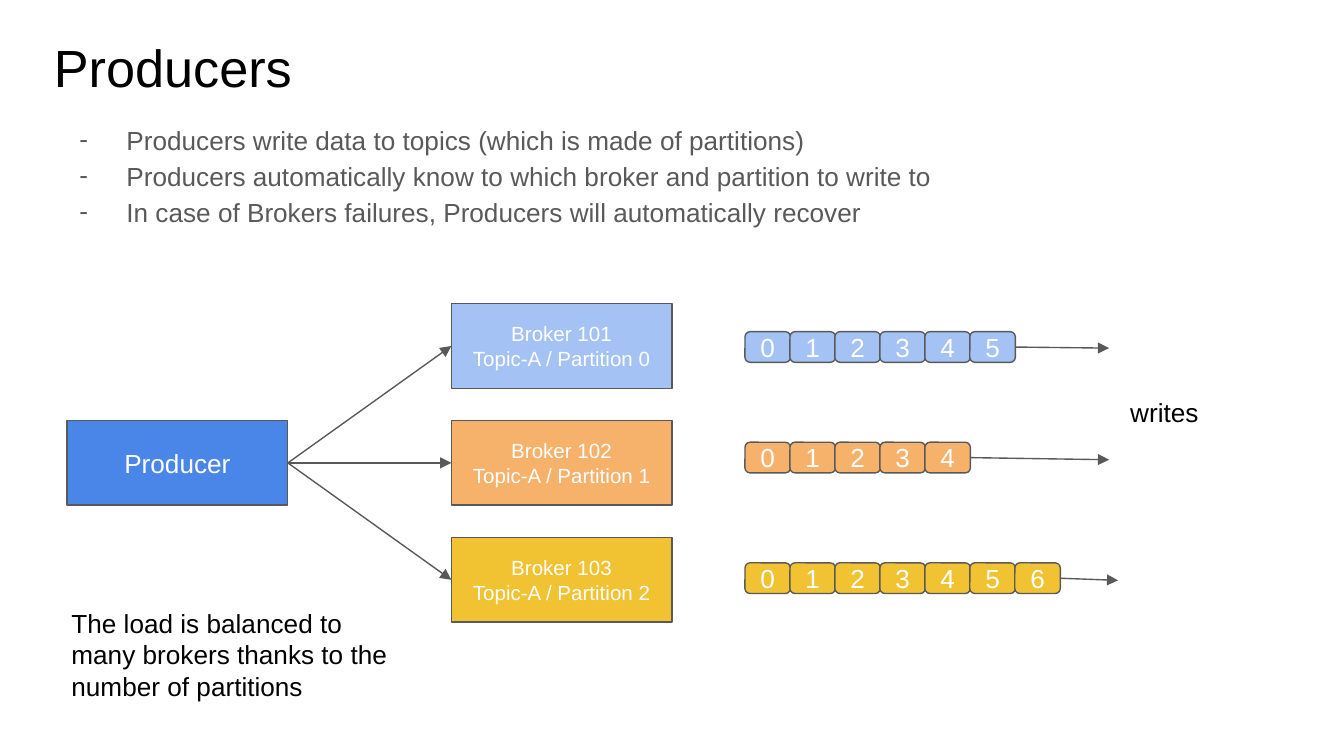
"""Build a slide showing a producer balancing its writes over three brokers."""
from dataclasses import dataclass

from lxml.etree import SubElement
from pptx import Presentation
from pptx.dml.color import RGBColor as Color
from pptx.enum.shapes import MSO_CONNECTOR as Connector, MSO_SHAPE as Shape
from pptx.enum.text import MSO_ANCHOR as Anchor, PP_ALIGN as Align
from pptx.oxml.ns import qn
from pptx.util import Cm, Pt


@dataclass(frozen=True)
class Theme:
    font: str = "Arial"
    black: str = "000000"
    white: str = "FFFFFF"
    gray: str = "595959"
    producer: str = "4A86E8"
    brokers: tuple = ("A4C2F4", "F6B26B", "F1C232")
    title_size: float = 28
    text_size: float = 14
    broker_size: float = 11
    line_width: float = 0.75


THEME = Theme()
TOP, LEFT, RIGHT = 0, 1, 3
BOX_WIDTH, BOX_HEIGHT = 4.17, 1.6
BROKER_LEFT, BROKER_TOP, BROKER_PITCH = 8.53, 5.74, 2.21
CELL_LEFT, CELL_PITCH, CELL_WIDTH, CELL_HEIGHT = 14.08, 0.85, 0.86, 0.58
BULLETS = (
    "Producers write data to topics (which is made of partitions)",
    "Producers automatically know to which broker and partition to write to",
    "In case of Brokers failures, Producers will automatically recover",
)
PARTITIONS = (
    (6, 6.27, (20.96, 6.58)),
    (5, 8.36, (20.96, 8.69)),
    (7, 10.64, (21.13, 10.97)),
)


def set_text(shape, text, size, color, align=Align.LEFT, anchor=Anchor.TOP):
    frame = shape.text_frame
    frame.text = text
    frame.word_wrap = True
    frame.vertical_anchor = anchor
    frame.margin_left = frame.margin_right = Cm(0.25)
    frame.margin_top = frame.margin_bottom = Cm(0.25)
    for paragraph in frame.paragraphs:
        paragraph.alignment = align
        for run in paragraph.runs:
            run.font.name = THEME.font
            run.font.size = Pt(size)
            run.font.color.rgb = Color.from_string(color)


def add_text(slide, left, top, width, height, text, size=THEME.text_size, color=THEME.black):
    shape = slide.shapes.add_textbox(Cm(left), Cm(top), Cm(width), Cm(height))
    set_text(shape, text, size, color)
    return shape


def add_bullets(slide, left, top, width, height, items):
    shape = add_text(slide, left, top, width, height, "\n".join(items), color=THEME.gray)
    for paragraph in shape.text_frame.paragraphs:
        paragraph.line_spacing = 1.15
        properties = paragraph._p.get_or_add_pPr()
        properties.set("marL", str(Cm(1.27)))
        properties.set("indent", str(-Cm(0.89)))
        bullet_color = SubElement(properties, qn("a:buClr"))
        SubElement(bullet_color, qn("a:srgbClr"), val=THEME.gray)
        SubElement(properties, qn("a:buFont"), typeface=THEME.font)
        SubElement(properties, qn("a:buChar"), char="-")


def style_line(line):
    line.color.rgb = Color.from_string(THEME.gray)
    line.width = Pt(THEME.line_width)


def add_box(slide, kind, left, top, width, height, text, fill, size=THEME.text_size):
    shape = slide.shapes.add_shape(kind, Cm(left), Cm(top), Cm(width), Cm(height))
    shape.shadow.inherit = False
    shape.fill.solid()
    shape.fill.fore_color.rgb = Color.from_string(fill)
    style_line(shape.line)
    set_text(shape, text, size, THEME.white, Align.CENTER, Anchor.MIDDLE)
    return shape


def add_arrow(slide, source, target=None, end=(0, 0)):
    x, y = end
    arrow = slide.shapes.add_connector(
        Connector.STRAIGHT, source.left + source.width, source.top + source.height // 2, Cm(x), Cm(y)
    )
    arrow.begin_connect(source, RIGHT)
    if target is not None:
        arrow.end_connect(target, LEFT)
    style_line(arrow.line)
    properties = arrow.element.spPr
    SubElement(properties.find(qn("a:ln")), qn("a:tailEnd"), type="triangle")
    SubElement(properties, qn("a:effectLst"))


def add_partition(slide, count, top, end, fill):
    for number in range(count):
        left = CELL_LEFT + number * CELL_PITCH
        cell = add_box(
            slide, Shape.ROUNDED_RECTANGLE, left, top, CELL_WIDTH, CELL_HEIGHT, str(number), fill
        )
    add_arrow(slide, cell, end=end)


def main():
    presentation = Presentation()
    presentation.slide_width, presentation.slide_height = Cm(25.4), Cm(14.29)
    slide = presentation.slides.add_slide(presentation.slide_layouts[6])

    add_text(slide, 0.77, 0.41, 23.67, 1.6, "Producers", THEME.title_size)
    add_bullets(slide, 0.87, 2.01, 23.67, 11.51, BULLETS)

    producer = add_box(
        slide, Shape.RECTANGLE, 1.27, BROKER_TOP + BROKER_PITCH, BOX_WIDTH, BOX_HEIGHT,
        "Producer", THEME.producer,
    )
    for index, (fill, partition) in enumerate(zip(THEME.brokers, PARTITIONS)):
        broker = add_box(
            slide, Shape.RECTANGLE, BROKER_LEFT, BROKER_TOP + index * BROKER_PITCH,
            BOX_WIDTH, BOX_HEIGHT, f"Broker {101 + index}\nTopic-A / Partition {index}",
            fill, THEME.broker_size,
        )
        add_arrow(slide, producer, broker)
        add_partition(slide, *partition, fill)

    add_text(slide, 21.11, 7.24, 2.87, 1.32, "writes")
    add_text(
        slide, 1.1, 11.23, 6.6, 2.51,
        "The load is balanced to many brokers thanks to the number of partitions",
    )
    presentation.save("out.pptx")


if __name__ == "__main__":
    main()
